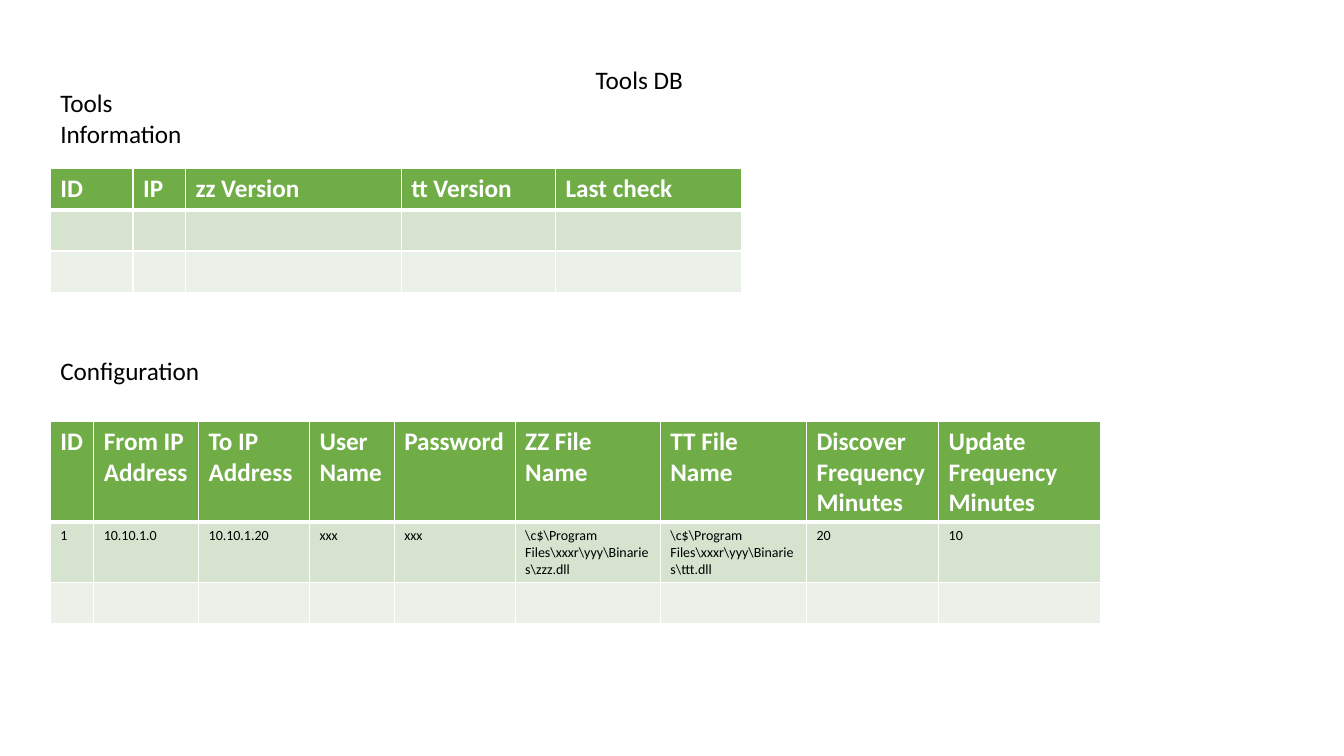
"""Build a slide showing the two tables of a tools database."""
from lxml.etree import SubElement
from pptx import Presentation
from pptx.dml.color import RGBColor
from pptx.enum.text import MSO_ANCHOR, PP_ALIGN
from pptx.oxml.ns import qn
from pptx.util import Inches, Pt

COLORS = {"head": "70AD47", "odd": "D5E3CF", "even": "EBF1E9",
          "line": "FFFFFF", "light": "FFFFFF", "dark": "000000"}
FORMATS = {
    "label": {"size": Pt(18), "bold": False, "color": "dark"},
    "head": {"size": Pt(18), "bold": True, "color": "light"},
    "body": {"size": Pt(10), "bold": False, "color": "dark"},
}
FONT = "Calibri"
WIDTH, HEIGHT = 13.33, 7.5
LEFT, ROW, LABEL = 0.5, 0.41, 1
TITLE = ("Tools DB", 5.81, 0.29, 4.18)
FOLDER = "\\c$\\Program Files\\xxxr\\yyy\\Binaries\\"
TABLES = [
    {"name": "Tools Information", "top": 1.67,
     "cols": [0.82, 0.52, 2.14, 1.53, 1.85],
     "rows": [["ID", "IP", "zz Version", "tt Version", "Last check"], [], []]},
    {"name": "Configuration", "top": 4.18,
     "cols": [0.43, 1.04, 1.1, 0.84, 1.2, 1.44, 1.45, 1.31, 1.61],
     "rows": [["ID", "From IP Address", "To IP Address", "User Name", "Password",
               "ZZ File Name", "TT File Name", "Discover Frequency Minutes",
               "Update Frequency Minutes"],
              ["1", "10.10.1.0", "10.10.1.20", "xxx", "xxx",
               FOLDER + "zzz.dll", FOLDER + "ttt.dll", "20", "10"], []]},
]


def paint(name):
    return RGBColor.from_string(COLORS[name])


def write(frame, text, style):
    part = frame.paragraphs[0]
    part.alignment = PP_ALIGN.LEFT
    run = part.add_run()
    run.text = text
    run.font.name = FONT
    for key, value in FORMATS[style].items():
        if key == "color":
            run.font.color.rgb = paint(value)
        else:
            setattr(run.font, key, value)


def label(slide, text, left, top, width):
    box = slide.shapes.add_textbox(*map(Inches, (left, top, width, LABEL)))
    frame = box.text_frame
    for key, value in {"word_wrap": False, "vertical_anchor": MSO_ANCHOR.MIDDLE}.items():
        setattr(frame, key, value)
    write(frame, text, "label")


def edge(cell, sides):
    props = cell._tc.get_or_add_tcPr()
    for spot, (side, width) in enumerate(sides.items()):
        line = SubElement(props, qn(f"a:ln{side}"), w=str(Pt(width)))
        fill = SubElement(line, qn("a:solidFill"))
        SubElement(fill, qn("a:srgbClr"), val=COLORS["line"])
        props.insert(spot, line)


def grid(slide, top, cols, rows):
    size = (LEFT, top, sum(cols), ROW * len(rows))
    table = slide.shapes.add_table(len(rows), len(cols), *map(Inches, size)).table
    for col, width in zip(table.columns, cols):
        col.width = Inches(width)
    for r, texts in enumerate(rows):
        table.rows[r].height = Inches(ROW)
        for c, cell in enumerate(table.rows[r].cells):
            cell.fill.solid()
            cell.fill.fore_color.rgb = paint(("head", "odd", "even")[r])
            edge(cell, {"L": 1, "R": 1, "T": 3 if r == 1 else 1, "B": 1 if r else 3})
            if texts:
                write(cell.text_frame, texts[c], "body" if r else "head")


def main():
    deck = Presentation()
    deck.slide_width, deck.slide_height = Inches(WIDTH), Inches(HEIGHT)
    slide = deck.slides.add_slide(deck.slide_layouts[6])
    label(slide, *TITLE)
    for item in TABLES:
        grid(slide, item["top"], item["cols"], item["rows"])
        label(slide, item["name"], LEFT, item["top"] - LABEL, 1.97)
    deck.save("out.pptx")


if __name__ == "__main__":
    main()
